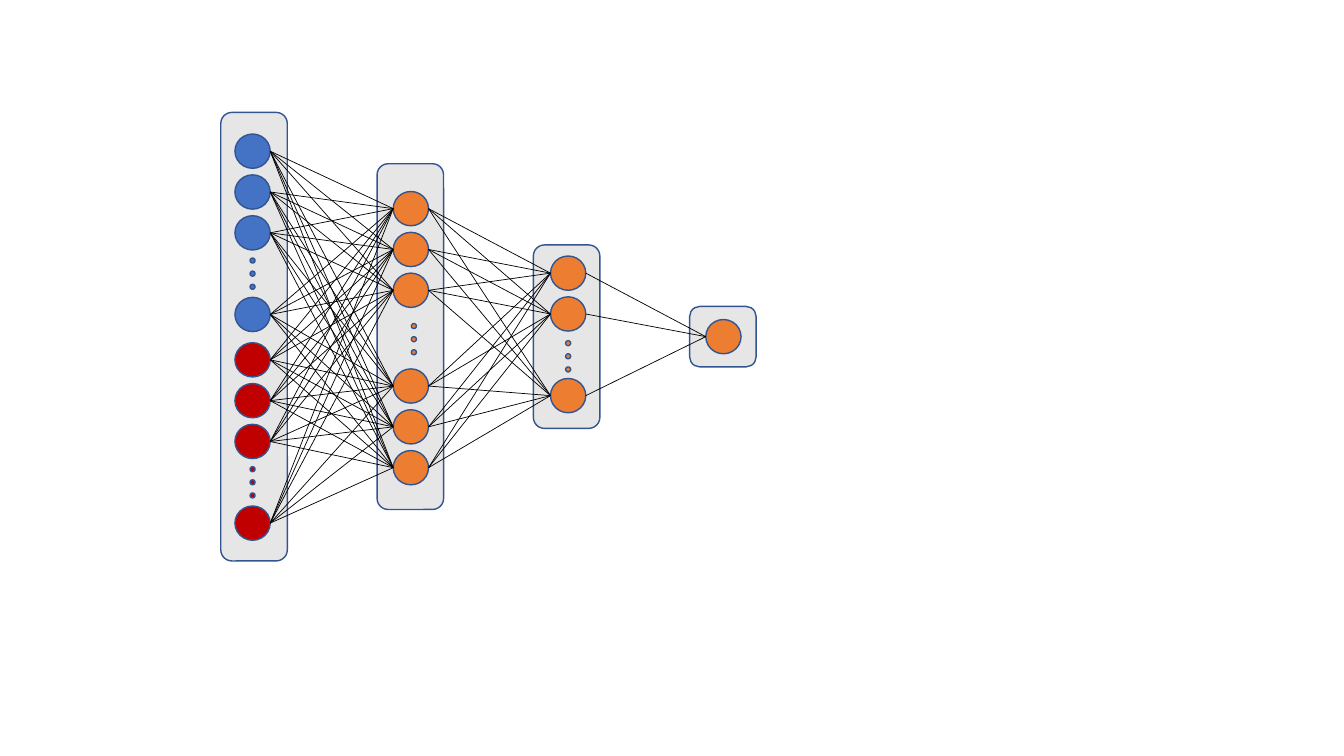
import itertools
import pptx
import pptx.util
import pptx.dml.color
import pptx.enum.shapes
import pptx.oxml.ns
import lxml.etree

THEME = {
    "panel": "E7E6E6", "blue": "4472C4", "red": "C00000", "orange": "ED7D31",
    "edge": "325491", "link": "000000", "rim": 1, "thin": 0.5,
}
WIDE, HIGH = 13.33, 7.5
LEFT, PITCH, MID = 2.19, 1.55, 3.34
PANEL = 0.66
NODE_W, NODE_H = 0.35, 0.34
DOT, DOT_STEP = 0.05, 0.13
ROW = 0.81 / 2

LAYERS = [
    {"tall": 4.45, "node_x": 2.33, "dot_x": 2.48,
     "groups": [("blue", 1.33, (0, 1, 2, 4)), ("red", 3.4, (0, 1, 2, 4))],
     "dots": [("blue", 2.56), ("red", 4.63)]},
    {"tall": 3.43, "node_x": 3.9, "dot_x": 4.08,
     "groups": [("orange", 1.9, (0, 1, 2)), ("orange", 3.66, (0, 1, 2))],
     "dots": [("orange", 3.21)]},
    {"tall": 1.82, "node_x": 5.46, "dot_x": 5.61,
     "groups": [("orange", 2.54, (0, 1, 3))],
     "dots": [("orange", 3.38)]},
    {"tall": 0.6, "node_x": 7, "dot_x": 7,
     "groups": [("orange", 3.17, (0,))],
     "dots": []},
]

KIND = pptx.enum.shapes.MSO_SHAPE
inch = pptx.util.Inches


def tint(name):
    return pptx.dml.color.RGBColor.from_string(THEME[name])


def draw(kind, x, y, w, h, fill):
    shape = slide.shapes.add_shape(kind, inch(x), inch(y), inch(w), inch(h))
    shape.shadow.inherit = False
    shape.fill.solid()
    shape.fill.fore_color.rgb = tint(fill)
    shape.line.color.rgb = tint("edge")
    shape.line.width = pptx.util.Pt(THEME["rim"])
    return shape


def link(start, end):
    line = slide.shapes.add_connector(
        pptx.enum.shapes.MSO_CONNECTOR.STRAIGHT,
        start.left + start.width, start.top + start.height // 2,
        end.left, end.top + end.height // 2)
    line.line.color.rgb = tint("link")
    line.line.width = pptx.util.Pt(THEME["thin"])
    lxml.etree.SubElement(line._element.spPr, pptx.oxml.ns.qn("a:effectLst"))


deck = pptx.Presentation()
deck.slide_width, deck.slide_height = inch(WIDE), inch(HIGH)
slide = deck.slides.add_slide(deck.slide_layouts[6])

for col, layer in enumerate(LAYERS):
    tall = layer["tall"]
    draw(KIND.ROUNDED_RECTANGLE, LEFT + col * PITCH, MID - tall / 2,
         PANEL, tall, "panel")

nodes = []
for layer in LAYERS:
    nodes.append([
        draw(KIND.OVAL, layer["node_x"], top + row * ROW, NODE_W, NODE_H, fill)
        for fill, top, rows in layer["groups"] for row in rows])
    for fill, top in layer["dots"]:
        for step in range(3):
            draw(KIND.OVAL, layer["dot_x"], top + step * DOT_STEP, DOT, DOT, fill)

for near, far in itertools.pairwise(nodes):
    for start, end in itertools.product(near, far):
        link(start, end)

deck.save("out.pptx")
